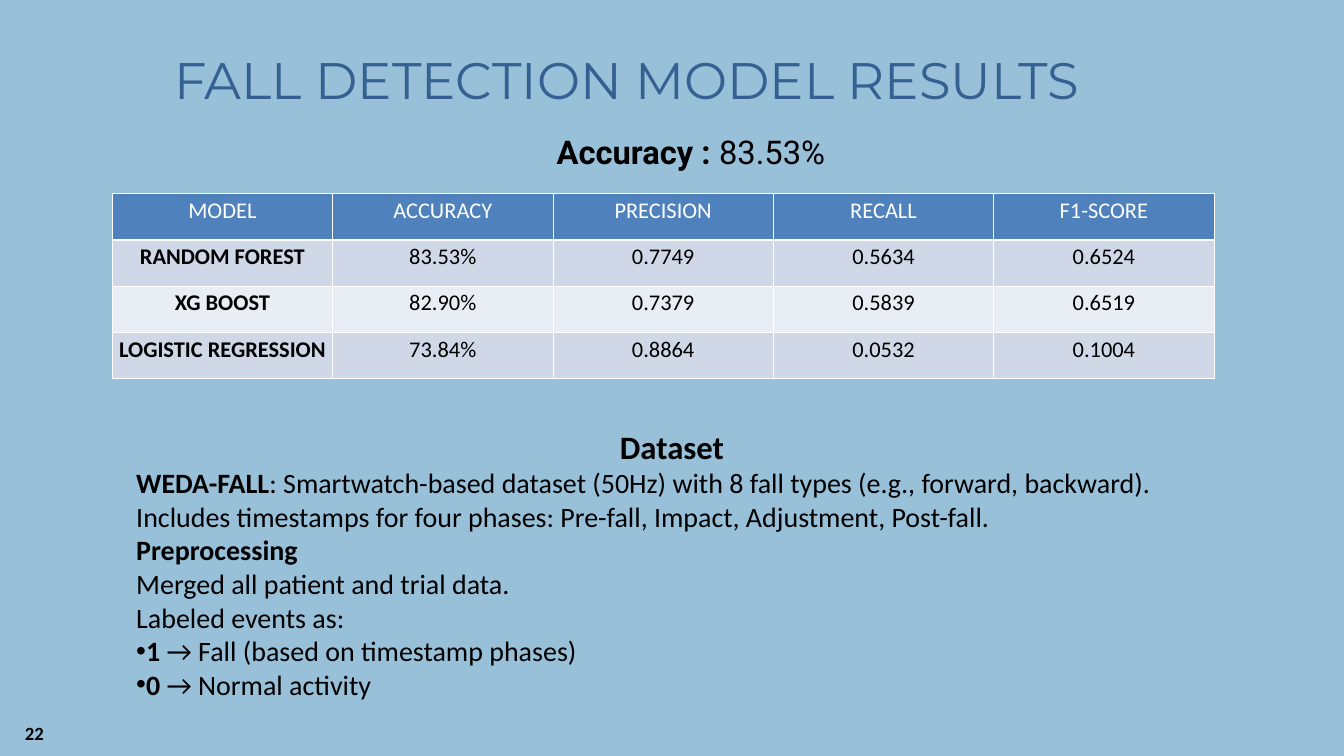
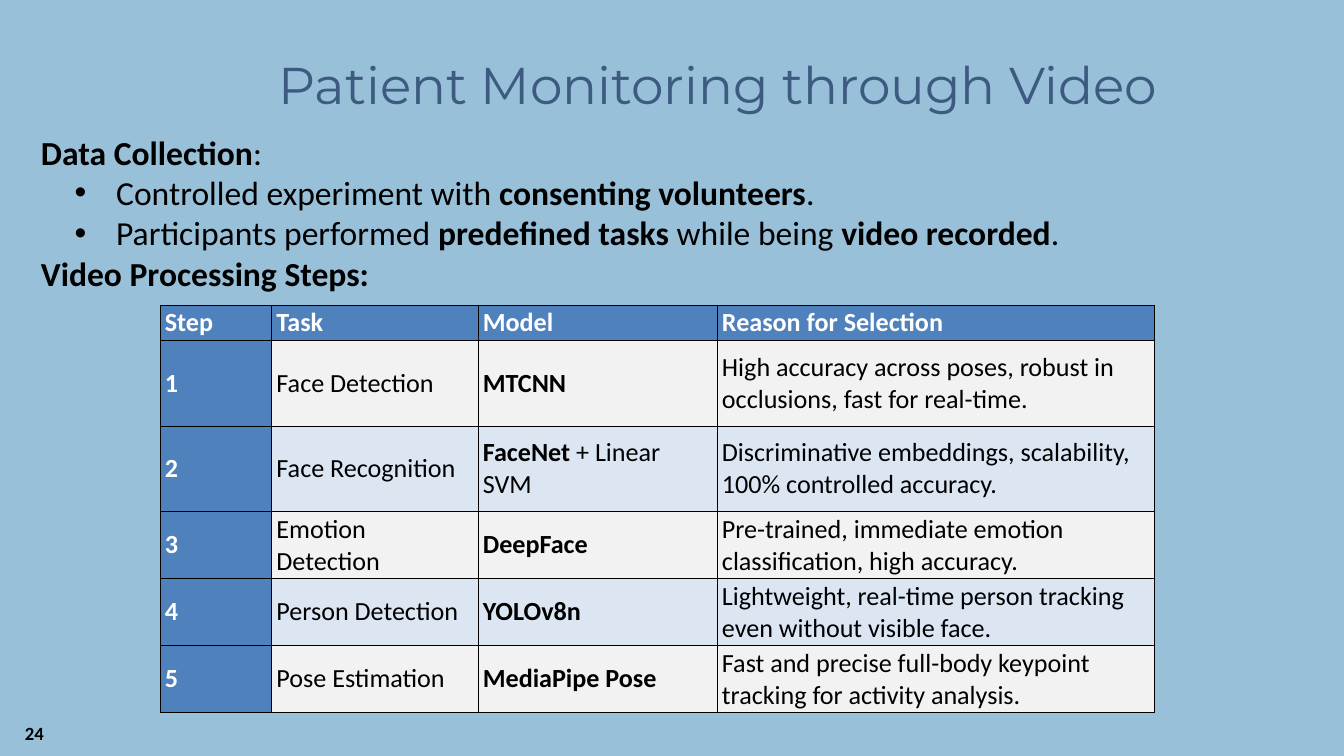
from dataclasses import dataclass
from typing import NamedTuple

from lxml import etree
from pptx import Presentation
from pptx import util as u
from pptx.dml.color import RGBColor
from pptx.enum import text
from pptx.oxml import ns

CENTER = text.PP_ALIGN.CENTER
LEFT = text.PP_ALIGN.LEFT
RIGHT = text.PP_ALIGN.RIGHT


@dataclass(frozen=True)
class Theme:
    background: str = "98C1D9"
    black: str = "000000"
    white: str = "FFFFFF"
    accent: str = "4F81BD"
    title_blue: str = "376092"
    title_slate: str = "3D5A80"
    result_bands: tuple[str, str] = ("D0D8E8", "E9EDF4")
    step_bands: tuple[str, str] = ("F2F2F2", "DCE6F2")
    body_font: str = "Calibri"
    title_font: str = "Montserrat"
    accuracy_font: str = "Roboto"
    page_size: float = 20
    result_size: float = 24
    step_size: float = 28
    dataset_size: float = 30
    heading_size: float = 35
    collection_size: float = 36
    title_line: float = 77.5
    accuracy_line: float = 44.7


THEME = Theme()


class Box(NamedTuple):
    left: float
    top: float
    width: float
    height: float


class Piece(NamedTuple):
    words: str
    bold: bool = False


class Style(NamedTuple):
    size: float
    color: str = THEME.black
    font: str = THEME.body_font


class Bullet(NamedTuple):
    margin: float = 0
    indent: float = 0
    level: int = 0


@dataclass(frozen=True)
class Line:
    pieces: list[Piece]
    style: Style
    align: text.PP_ALIGN = LEFT
    spacing: float | None = None
    bullet: Bullet | None = None


@dataclass(frozen=True)
class TableLook:
    style: Style
    bands: tuple[str, str]
    border: str
    align: text.PP_ALIGN
    anchor: text.MSO_ANCHOR
    side_margin: float
    end_margin: float
    header_bold: bool
    header_rule: float
    accent_columns: int


RESULT_LOOK = TableLook(
    Style(THEME.result_size), THEME.result_bands, THEME.white, CENTER,
    text.MSO_ANCHOR.TOP, 0.25, 0.13, False, 3, 0,
)
STEP_LOOK = TableLook(
    Style(THEME.step_size), THEME.step_bands, THEME.black, LEFT,
    text.MSO_ANCHOR.MIDDLE, 0.18, 0.08, True, 1, 1,
)


def write_line(paragraph, line: Line) -> None:
    paragraph.alignment = line.align
    if line.spacing:
        paragraph.line_spacing = u.Pt(line.spacing)
    if line.bullet:
        paragraph.level = line.bullet.level
        properties = paragraph._p.get_or_add_pPr()
        properties.set("marL", str(u.Cm(line.bullet.margin)))
        properties.set("indent", str(u.Cm(line.bullet.indent)))
        etree.SubElement(properties, ns.qn("a:buFont"), typeface="Arial")
        etree.SubElement(properties, ns.qn("a:buChar"), char="•")
    for piece in line.pieces:
        for index, words in enumerate(piece.words.split("\n")):
            if index:
                paragraph.add_line_break()
            run = paragraph.add_run()
            run.text = words
            run.font.name = line.style.font
            run.font.size = u.Pt(line.style.size)
            run.font.bold = piece.bold
            run.font.color.rgb = RGBColor.from_string(line.style.color)


def add_text(slide, box: Box, lines: list[Line], inset: bool = False, grow: bool = True):
    shape = slide.shapes.add_textbox(*map(u.Cm, box))
    frame = shape.text_frame
    frame.word_wrap = True
    if grow:
        frame.auto_size = text.MSO_AUTO_SIZE.SHAPE_TO_FIT_TEXT
    if not inset:
        frame.margin_left = frame.margin_right = 0
        frame.margin_top = frame.margin_bottom = 0
    for index, line in enumerate(lines):
        paragraph = frame.add_paragraph() if index else frame.paragraphs[0]
        write_line(paragraph, line)
    return shape


def add_title(slide, box: Box, words: str, size: float, color: str, align: text.PP_ALIGN) -> None:
    style = Style(size, color, THEME.title_font)
    add_text(slide, box, [Line([Piece(words)], style, align, THEME.title_line)])


def add_page_number(slide, number: int) -> None:
    line = Line([Piece(str(number), True)], Style(THEME.page_size), RIGHT)
    shape = add_text(slide, Box(-4.01, 27.2, 5.92, 1.02), [line], inset=True, grow=False)
    shape.text_frame.vertical_anchor = text.MSO_ANCHOR.MIDDLE


def set_borders(cell, color: str, top: float, bottom: float) -> None:
    properties = cell._tc.get_or_add_tcPr()
    for side, width in (("L", 1), ("R", 1), ("T", top), ("B", bottom)):
        border = etree.SubElement(properties, ns.qn(f"a:ln{side}"), w=str(u.Pt(width)))
        fill = etree.SubElement(border, ns.qn("a:solidFill"))
        etree.SubElement(fill, ns.qn("a:srgbClr"), val=color)


def add_grid(
    slide, left: float, top: float, widths: list[float], heights: list[float],
    rows: list[list[list[Piece]]], look: TableLook,
) -> None:
    table = slide.shapes.add_table(
        len(heights), len(widths),
        *map(u.Cm, (left, top, sum(widths), sum(heights))),
    ).table
    for column, width in zip(table.columns, widths):
        column.width = u.Cm(width)
    for row_index, (height, row) in enumerate(zip(heights, rows)):
        table.rows[row_index].height = u.Cm(height)
        for column_index, pieces in enumerate(row):
            cell = table.cell(row_index, column_index)
            accented = row_index == 0 or column_index < look.accent_columns
            fill = THEME.accent if accented else look.bands[(row_index - 1) % 2]
            style = look.style._replace(color=THEME.white) if accented else look.style
            set_borders(
                cell, look.border,
                look.header_rule if row_index == 1 else 1,
                look.header_rule if row_index == 0 else 1,
            )
            cell.fill.solid()
            cell.fill.fore_color.rgb = RGBColor.from_string(fill)
            cell.vertical_anchor = look.anchor
            cell.margin_left = cell.margin_right = u.Cm(look.side_margin)
            cell.margin_top = cell.margin_bottom = u.Cm(look.end_margin)
            write_line(cell.text_frame.paragraphs[0], Line(pieces, style, look.align))


def header_row(names: list[str], look: TableLook) -> list[list[Piece]]:
    return [[Piece(name, look.header_bold)] for name in names]


def add_blank_slide(presentation):
    slide = presentation.slides.add_slide(presentation.slide_layouts[6])
    slide.background.fill.solid()
    slide.background.fill.fore_color.rgb = RGBColor.from_string(THEME.background)
    return slide


def build_results(presentation) -> None:
    slide = add_blank_slide(presentation)
    add_title(slide, Box(6.15, 1.4, 35.56, 2.57), "FALL DETECTION MODEL RESULTS ",
              55, THEME.title_blue, CENTER)
    accuracy = [Piece("Accuracy : ", True), Piece("83.53%")]
    accuracy_style = Style(THEME.heading_size, font=THEME.accuracy_font)
    add_text(slide, Box(2.39, 4.9, 47.45, 1.52),
             [Line(accuracy, accuracy_style, CENTER, THEME.accuracy_line)])
    add_page_number(slide, 22)

    style = Style(THEME.dataset_size)
    add_text(slide, Box(4.9, 16, 41, 11.79), [
        Line([Piece("Dataset", True)], Style(THEME.heading_size), CENTER),
        Line([
            Piece("WEDA-FALL", True),
            Piece(": Smartwatch-based dataset (50Hz) with 8 fall types (e.g., forward, backward). "
                  "Includes timestamps for four phases: Pre-fall, Impact, Adjustment, Post-fall."),
        ], style),
        Line([Piece("Preprocessing", True)], style),
        Line([Piece("Merged all patient and trial data.\nLabeled events as:")], style),
        Line([Piece("1", True), Piece(" → Fall (based on timestamp phases)")], style,
             bullet=Bullet()),
        Line([Piece("0", True), Piece(" → Normal activity")], style, bullet=Bullet()),
    ], inset=True)

    scores = [
        ("RANDOM FOREST", "83.53%", "0.7749", "0.5634", "0.6524"),
        ("XG BOOST", "82.90%", "0.7379", "0.5839", "0.6519"),
        ("LOGISTIC REGRESSION", "73.84%", "0.8864", "0.0532", "0.1004"),
    ]
    rows = [header_row(["MODEL", "ACCURACY", "PRECISION", "RECALL", "F1-SCORE"], RESULT_LOOK)]
    rows += [[[Piece(model, True)], *([Piece(value)] for value in values)]
             for model, *values in scores]
    add_grid(slide, 4.24, 7.32, [8.33] * 5, [1.75] * 4, rows, RESULT_LOOK)


def build_monitoring(presentation) -> None:
    slide = add_blank_slide(presentation)
    add_title(slide, Box(10.52, 1.6, 38.74, 2.54), "Patient Monitoring through Video",
              55.4, THEME.title_slate, LEFT)
    style = Style(THEME.collection_size)
    bullet = Bullet(2.84, -1.57, 1)
    add_text(slide, Box(1.55, 4.98, 47.68, 6.15), [
        Line([Piece("Data Collection", True), Piece(":")], style),
        Line([Piece("Controlled experiment with "), Piece("consenting volunteers", True),
              Piece(".")], style, bullet=bullet),
        Line([Piece("Participants performed "), Piece("predefined tasks", True),
              Piece(" while being "), Piece("video recorded", True), Piece(".")],
             style, bullet=bullet),
        Line([Piece("Video Processing Steps:", True)], style),
    ])
    add_page_number(slide, 24)

    steps = [
        ("Face Detection", "MTCNN", "",
         "High accuracy across poses, robust in occlusions, fast for real-time."),
        ("Face Recognition", "FaceNet", " + Linear SVM",
         "Discriminative embeddings, scalability, 100% controlled accuracy."),
        ("Emotion Detection", "DeepFace", "",
         "Pre-trained, immediate emotion classification, high accuracy."),
        ("Person Detection", "YOLOv8n", "",
         "Lightweight, real-time person tracking even without visible face."),
        ("Pose Estimation", "MediaPipe Pose", "",
         "Fast and precise full-body keypoint tracking for activity analysis."),
    ]
    rows = [header_row(["Step", "Task", "Model", "Reason for Selection"], STEP_LOOK)]
    for number, (task, model, addition, reason) in enumerate(steps, 1):
        model_pieces = [Piece(model, True)] + ([Piece(addition)] if addition else [])
        rows.append([[Piece(str(number), True)], [Piece(task)], model_pieces, [Piece(reason)]])
    add_grid(slide, 6.05, 11.53, [4.22, 7.8, 9.04, 16.54],
             [1.22, 3.23, 3.23, 2.51, 2.44, 2.26], rows, STEP_LOOK)


def main() -> None:
    presentation = Presentation()
    presentation.slide_width = u.Cm(50.8)
    presentation.slide_height = u.Cm(28.58)
    build_results(presentation)
    build_monitoring(presentation)
    presentation.save("out.pptx")


if __name__ == "__main__":
    main()
